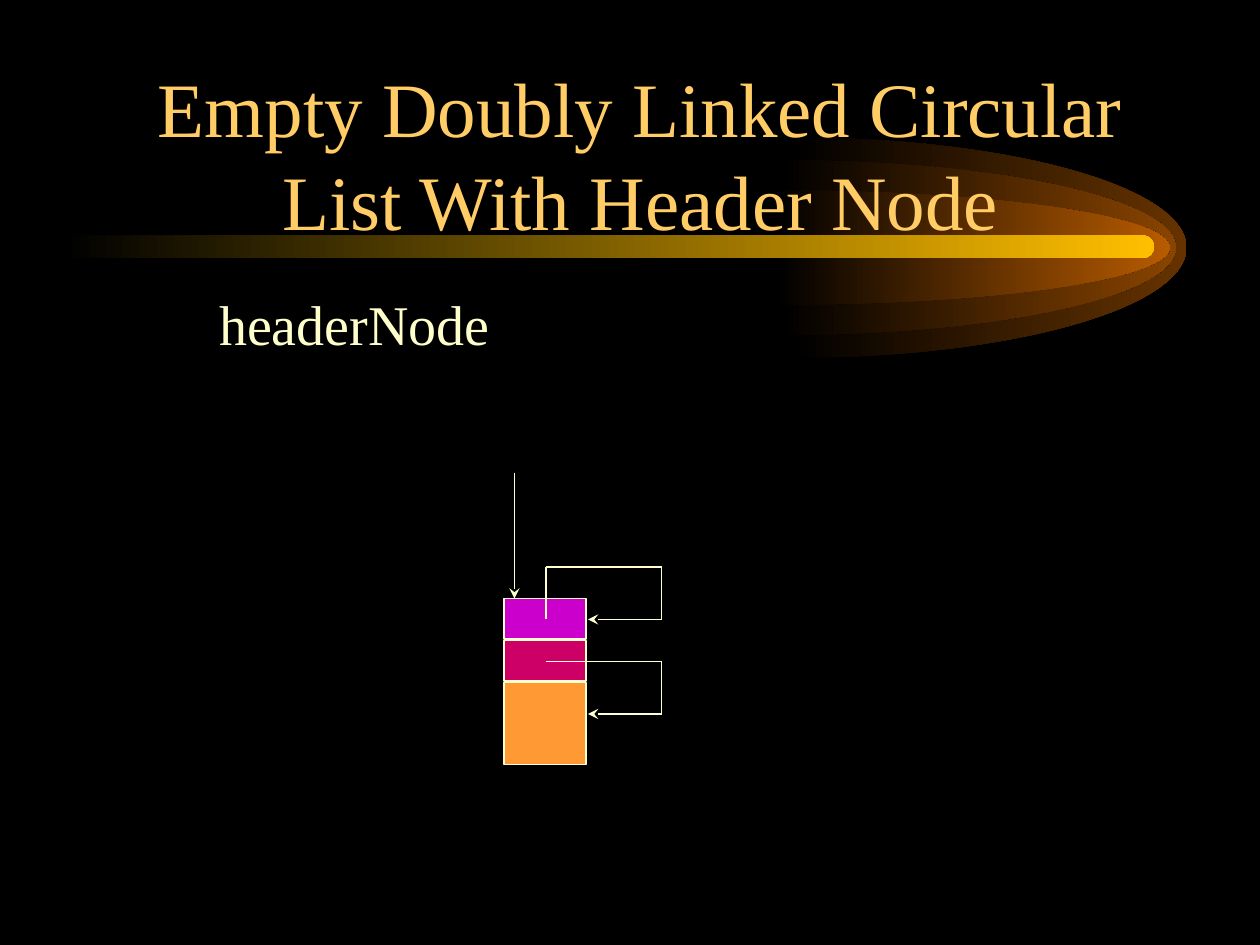
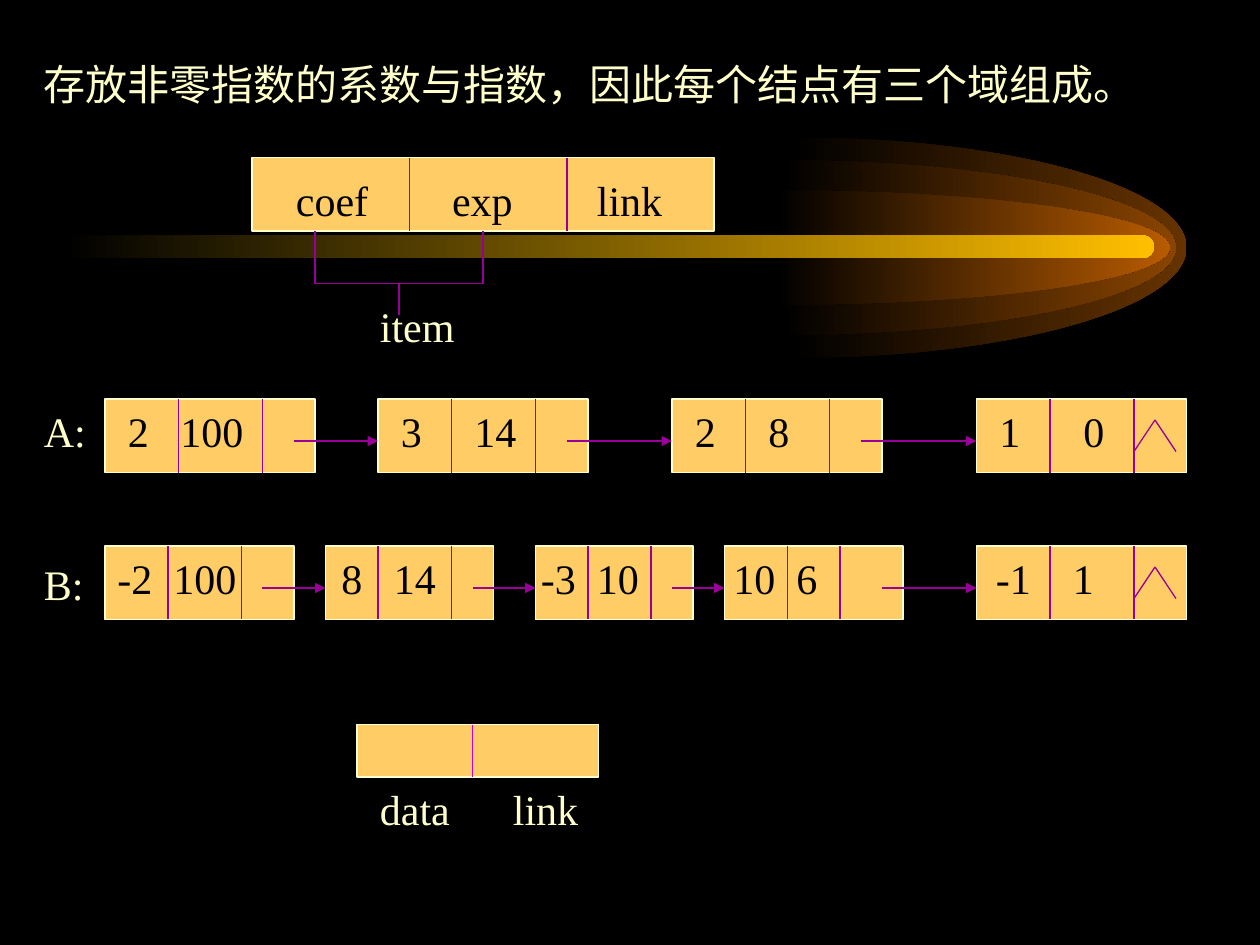
from lxml import etree
from pptx import Presentation
from pptx.dml.color import RGBColor
from pptx.enum import shapes, text
from pptx.oxml import ns
from pptx.util import Pt

COLORS = {
    "black": "000000", "cream": "FFFFCC", "gold": "FFCC66", "purple": "990099",
    "magenta": "CC00CC", "crimson": "CC0066", "orange": "FF9933",
    "glow_outer": "663300", "glow_middle": "894400", "glow_inner": "B75B00",
    "band": "FFBF00",
}
RGB = {name: RGBColor.from_string(value) for name, value in COLORS.items()}
FONT = "Times New Roman"
INSET = 7
THIN, THICK = 0.74, 0.99


def add_box(slide, left, top, width, height, fill, line_width):
    """Add a filled rectangle with a cream outline."""
    box = slide.shapes.add_shape(
        shapes.MSO_SHAPE.RECTANGLE, Pt(left), Pt(top), Pt(width), Pt(height))
    box.shadow.inherit = False
    box.fill.solid()
    box.fill.fore_color.rgb = RGB[fill]
    box.line.color.rgb = RGB["cream"]
    box.line.width = Pt(line_width)


def add_lines(slide, points, color, line_width, arrow=None):
    """Join the points with straight lines; the last one may end in an arrowhead."""
    for start, end in zip(points, points[1:]):
        line = slide.shapes.add_connector(
            shapes.MSO_CONNECTOR.STRAIGHT, *map(Pt, start + end))
        line.line.color.rgb = RGB[color]
        line.line.width = Pt(line_width)
        if arrow and end == points[-1]:
            outline = line.line._get_or_add_ln()
            etree.SubElement(outline, ns.qn("a:tailEnd"), type=arrow)
        etree.SubElement(line.element.spPr, ns.qn("a:effectLst"))


presentation = Presentation()
presentation.slide_width, presentation.slide_height = Pt(720), Pt(540)
master = presentation.slide_master
master.background.fill.solid()
master.background.fill.fore_color.rgb = RGB["black"]
header_slide = presentation.slides.add_slide(presentation.slide_layouts[1])
polynomial_slide = presentation.slides.add_slide(presentation.slide_layouts[6])

# Shared comet: three half ellipses and a band, drawn once and moved to the master
comet = []
CENTER_Y, GLOW_WIDTH = 141.5, 225
CURVE = 0.55  # control point distance of a quarter ellipse
for left, radius_y, color in [
        (453, 63, "glow_outer"), (447, 50, "glow_middle"), (443.5, 32.8, "glow_inner")]:
    builder = header_slide.shapes.build_freeform(Pt(left), Pt(CENTER_Y - radius_y))
    builder.add_line_segments([(Pt(left + GLOW_WIDTH), Pt(CENTER_Y)),
                               (Pt(left), Pt(CENTER_Y + radius_y))], close=True)
    glow = builder.convert_to_shape()
    # Bend the two straight sides into quarter ellipses
    quarters = [
        [(CURVE, 0), (1, 1 - CURVE), (1, 1)],
        [(1, 1 + CURVE), (CURVE, 2), (0, 2)]]
    for side, quarter in zip(list(glow.element.iter(ns.qn("a:lnTo"))), quarters):
        curve = etree.Element(ns.qn("a:cubicBezTo"))
        for x, y in quarter:
            etree.SubElement(curve, ns.qn("a:pt"), x=str(Pt(x * GLOW_WIDTH)),
                             y=str(Pt(y * radius_y)))
        side.getparent().replace(side, curve)
    comet.append((glow, color))
band = header_slide.shapes.add_shape(
    shapes.MSO_SHAPE.ROUNDED_RECTANGLE, Pt(36), Pt(134.5), Pt(623.5), Pt(13))
band.adjustments[0] = 0.5
comet.append((band, "band"))
for order, (shape, color) in enumerate(comet):
    shape.shadow.inherit = False
    shape.line.fill.background()
    shape.fill.gradient()
    shape.fill.gradient_angle = 0
    for stop, stop_color in zip(shape.fill.gradient_stops, ("black", color)):
        stop.color.rgb = RGB[stop_color]
    shape.element.nvSpPr.cNvPr.set("id", str(20 + order))
    master.element.cSld.spTree.insert(2 + order, shape.element)

# Slide 1: title and body
title, body = header_slide.placeholders
for shape, wording, place, size, color, frame_format, paragraph_format in [
        (title, "Empty Doubly Linked Circular List With Header Node",
         (60, 54, 612, 90), 44, "gold",
         {"vertical_anchor": text.MSO_ANCHOR.BOTTOM},
         {"alignment": text.PP_ALIGN.CENTER}),
        (body, "headerNode", (54, 162, 612, 324), 32, "cream",
         {"vertical_anchor": text.MSO_ANCHOR.TOP},
         {"alignment": text.PP_ALIGN.LEFT, "space_before": Pt(0)})]:
    shape.left, shape.top, shape.width, shape.height = map(Pt, place)
    frame = shape.text_frame
    frame.text = wording
    frame.auto_size = text.MSO_AUTO_SIZE.NONE
    paragraph = frame.paragraphs[0]
    for target, values in [
            (frame, frame_format), (paragraph, paragraph_format),
            (paragraph.font, {"name": FONT, "size": Pt(size)})]:
        for name, value in values.items():
            setattr(target, name, value)
    paragraph.font.color.rgb = RGB[color]
body_properties = body.text_frame.paragraphs[0]._p.get_or_add_pPr()
body_properties.set("marL", str(Pt(64)))
body_properties.set("indent", "0")
body_properties.find(ns.qn("a:defRPr")).addprevious(etree.Element(ns.qn("a:buNone")))

# Slide 1: header node whose two links point back to itself
for top, height, fill in [(342, 23, "magenta"), (366, 23, "crimson"), (390, 47, "orange")]:
    add_box(header_slide, 288, top, 47, height, fill, THICK)
for points in [
        [(294, 270), (294, 342)],
        [(312, 354), (312, 324), (378, 324), (378, 354), (336, 354)],
        [(312, 378), (378, 378), (378, 408), (336, 408)]]:
    add_lines(header_slide, points, "cream", THICK, "stealth")

# Slide 2: node layout with its bracket, and the general node below
add_box(polynomial_slide, 144, 90, 264, 42, "gold", THIN)
for points in [
        [(234, 90), (234, 132)], [(324, 90), (324, 132)],
        [(180, 132), (180, 162), (276, 162), (276, 132)], [(228, 162), (228, 180)]]:
    add_lines(polynomial_slide, points, "purple", THIN)
add_box(polynomial_slide, 204, 414, 138, 30, "gold", THIN)
add_lines(polynomial_slide, [(270, 414), (270, 444)], "magenta", THICK)

# Slide 2: the two lists; a node is left, two dividers, right, start of its arrow
NODE_HEIGHT = 42
LAST_NODE = (558, 600, 648, 678, None)
lists = {
    228: [(60, 102, 150, 180, 168), (216, 258, 306, 336, 324),
          (384, 426, 474, 504, 492), LAST_NODE],
    312: [(60, 96, 138, 168, 150), (186, 216, 258, 282, 270),
          (306, 336, 372, 396, 384), (414, 450, 480, 516, 504), LAST_NODE],
}
for top, nodes in lists.items():
    for left, first, second, right, _ in nodes:
        add_box(polynomial_slide, left, top, right - left, NODE_HEIGHT, "gold", THIN)
        for divider in (first, second):
            add_lines(polynomial_slide, [(divider, top), (divider, top + NODE_HEIGHT)],
                      "purple", THIN)
    for node, following in zip(nodes, nodes[1:]):
        add_lines(polynomial_slide, [(node[-1], top + 24), (following[0], top + 24)],
                  "purple", THIN, "triangle")
    for foot in (648, 672):
        add_lines(polynomial_slide, [(660, top + 12), (foot, top + 30)], "purple", THIN)

# Slide 2: text; words of a row stand at the given positions by tab stops
for wording, positions, top, width, color in [
        ("存放非零指数的系数与指数\uff0c因此每个结点有三个域组成。",
         [25], 30, 684, "cream"),
        ("coef\texp\tlink", [169, 258.2, 341], 96, 239, "black"),
        ("item", [217], 168, 70, "cream"),
        ("A:\nB:", [25], 228, 54, "cream"),
        ("2\t100\t3\t14\t2\t8\t1\t0",
         [73, 103, 229, 271, 397, 439, 571, 619], 228, 594, "black"),
        ("-2\t100\t8\t14\t-3\t10\t10\t6\t-1\t1",
         [67, 99, 195, 225, 309, 341, 419, 455, 569, 613], 312, 594, "black"),
        ("data\tlink", [217, 293], 444, 132, "cream")]:
    box = polynomial_slide.shapes.add_textbox(
        Pt(positions[0] - INSET), Pt(top), Pt(width), Pt(36))
    box.text_frame.word_wrap = True
    box.text_frame.text = wording
    for order, paragraph in enumerate(box.text_frame.paragraphs):
        paragraph.space_before = Pt(59 if order else 0)
        for name, value in {"name": FONT, "size": Pt(24)}.items():
            setattr(paragraph.font, name, value)
        paragraph.font.color.rgb = RGB[color]
        if len(positions) > 1:
            properties = paragraph._p.get_or_add_pPr()
            tabs = etree.Element(ns.qn("a:tabLst"))
            for position in positions[1:]:
                etree.SubElement(tabs, ns.qn("a:tab"),
                                 pos=str(Pt(position - positions[0])), algn="l")
            properties.find(ns.qn("a:defRPr")).addprevious(tabs)

presentation.save("out.pptx")
